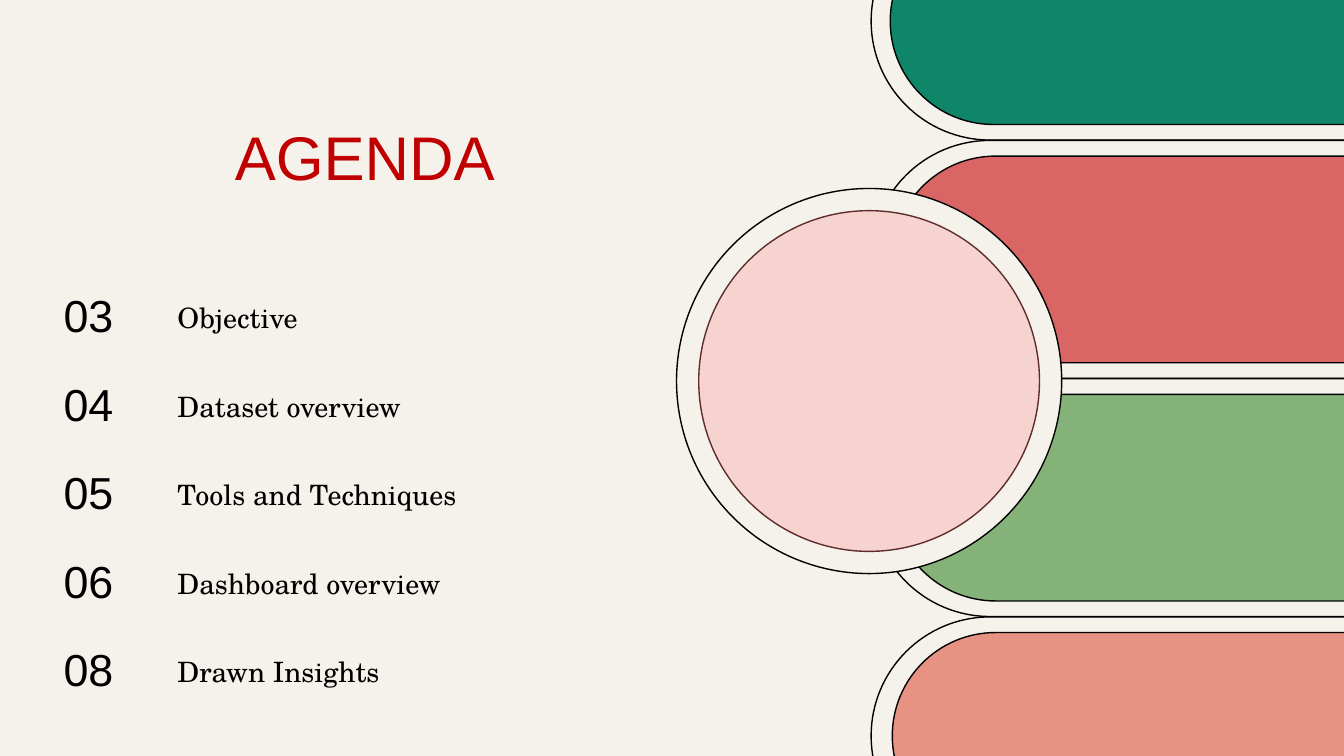
from math import asin, cos, degrees, radians, sin, tan
from lxml import etree
from pptx import Presentation
from pptx.dml.color import RGBColor
from pptx.enum.shapes import MSO_SHAPE
from pptx.enum.text import MSO_ANCHOR, PP_ALIGN
from pptx.oxml.ns import qn
from pptx.util import Inches, Pt

CREAM = RGBColor(0xF5, 0xF2, 0xEB)
GREEN = RGBColor(0x10, 0x86, 0x69)
RED = RGBColor(0xD9, 0x65, 0x64)
SAGE = RGBColor(0x84, 0xB2, 0x78)
SALMON = RGBColor(0xE8, 0x92, 0x84)
PINK = RGBColor(0xF6, 0xD3, 0xCE)
MAROON = RGBColor(0x5F, 0x2C, 0x2C)
TITLE_RED = RGBColor(0xC0, 0x00, 0x00)
BLACK = RGBColor(0, 0, 0)

TITLE = "AGENDA"
AGENDA = [
    ("03", "Objective"),
    ("04", "Dataset overview"),
    ("05", "Tools and Techniques"),
    ("06", "Dashboard overview"),
    ("08", "Drawn Insights"),
]
BARS = [(GREEN, 8.83), (RED, 8.85), (SAGE, 8.85), (SALMON, 8.85)]  # fill, left
CIRCLES = [(3.82, CREAM, BLACK), (3.38, PINK, MAROON)]  # diameter, fill, line
NO_TABLE_STYLE = "{2D5ABB26-0587-4C30-8999-92F81FD0307C}"

FIRST_MID, LAST_MID = 0.21, 7.3
BAR_PITCH = (LAST_MID - FIRST_MID) / (len(BARS) - 1)
OUTER_LEFT, OUTER_R, INNER_R = 8.64, 2.36 / 2, 2.05 / 2
RIGHT, TOP, BOTTOM = 13.43, -0.04, 7.54
CIRCLE_X, CIRCLE_Y = 8.62, 3.78
TABLE_H, COL_W = 4.39, (1.23, 4.83)


def style(sp, fill, line):
    sp.shadow.inherit = False
    if fill is None:
        sp.fill.background()
    else:
        sp.fill.solid()
        sp.fill.fore_color.rgb = fill
    sp.line.color.rgb = line
    sp.line.width = Pt(1)


def arc_points(cx, cy, radius, start, end):
    """Two control points and the end point of one Bezier arc, in degrees."""
    a, b = radians(start), radians(end)
    k = 4 / 3 * tan((b - a) / 4)
    return [(cx + radius * (cos(t) + dx), cy - radius * (sin(t) + dy))
            for t, dx, dy in ((a, -k * sin(a), k * cos(a)),
                              (b, k * sin(b), -k * cos(b)), (b, 0, 0))]


def add_bar(shapes, left, mid, radius, fill):
    """Bar with a round left end, cut off at the slide's top and bottom."""
    cx = left + radius
    rise, drop = min(radius, mid - TOP), min(radius, BOTTOM - mid)
    start = 180 - degrees(asin(rise / radius))
    end = 180 + degrees(asin(drop / radius))
    outline = [(RIGHT, mid - rise),
               (cx + radius * cos(radians(start)), mid - rise),
               *arc_points(cx, mid, radius, start, 180),
               *arc_points(cx, mid, radius, 180, end),
               (RIGHT, mid + drop)]
    points = [(Inches(x), Inches(y)) for x, y in outline]
    builder = shapes.build_freeform(*points[0])
    builder.add_line_segments(points[1:], close=True)
    sp = builder.convert_to_shape()
    # Turn the two arcs' straight segments into curves
    lines = list(sp._element.iter(qn("a:lnTo")))
    for first in (1, 4):
        curve = etree.Element(qn("a:cubicBezTo"))
        lines[first].addprevious(curve)
        for line in lines[first:first + 3]:
            curve.append(line[0])
            line.getparent().remove(line)
    style(sp, fill, BLACK)


def add_run(p, text, font, size, color):
    r = p.add_run()
    r.text = text
    r.font.name = font
    r.font.size = Pt(size)
    r.font.color.rgb = color


prs = Presentation()
prs.slide_width, prs.slide_height = Inches(13.33), Inches(7.5)
slide = prs.slides.add_slide(prs.slide_layouts[5])
slide.background.fill.solid()
slide.background.fill.fore_color.rgb = CREAM

# Bars on the right
for i, (color, left) in enumerate(BARS):
    mid = FIRST_MID + i * BAR_PITCH
    add_bar(slide.shapes, OUTER_LEFT, mid, OUTER_R, None)
    add_bar(slide.shapes, left, mid, INNER_R, color)

# Concentric circles
for size, fill, line in CIRCLES:
    sp = slide.shapes.add_shape(
        MSO_SHAPE.OVAL, Inches(CIRCLE_X - size / 2), Inches(CIRCLE_Y - size / 2),
        Inches(size), Inches(size))
    style(sp, fill, line)

# Title
title = slide.shapes.title
title.left, title.top = Inches(0.53), Inches(1.21)
title.width, title.height = Inches(6.18), Inches(1.03)
tf = title.text_frame
tf.word_wrap = True
tf.vertical_anchor = MSO_ANCHOR.TOP
p = tf.paragraphs[0]
p.alignment = PP_ALIGN.CENTER
p.line_spacing = 0.9
add_run(p, TITLE, "Arial", 44, TITLE_RED)

# Agenda table
table = slide.shapes.add_table(
    len(AGENDA), len(COL_W), Inches(0.53), Inches(2.71),
    Inches(sum(COL_W)), Inches(TABLE_H)).table
table.first_row = table.horz_banding = False
table._tbl.tblPr.find(qn("a:tableStyleId")).text = NO_TABLE_STYLE
for col, width in zip(table.columns, COL_W):
    col.width = Inches(width)
for i, (number, topic) in enumerate(AGENDA):
    number_cell, topic_cell = table.cell(i, 0), table.cell(i, 1)
    for cell in (number_cell, topic_cell):
        cell.fill.background()
        cell.vertical_anchor = MSO_ANCHOR.MIDDLE
    topic_cell.margin_left = 0
    add_run(number_cell.text_frame.paragraphs[0], number, "Arial", 32, BLACK)
    add_run(topic_cell.text_frame.paragraphs[0], topic, "TeX Gyre Schola", 20, BLACK)

prs.save("out.pptx")
